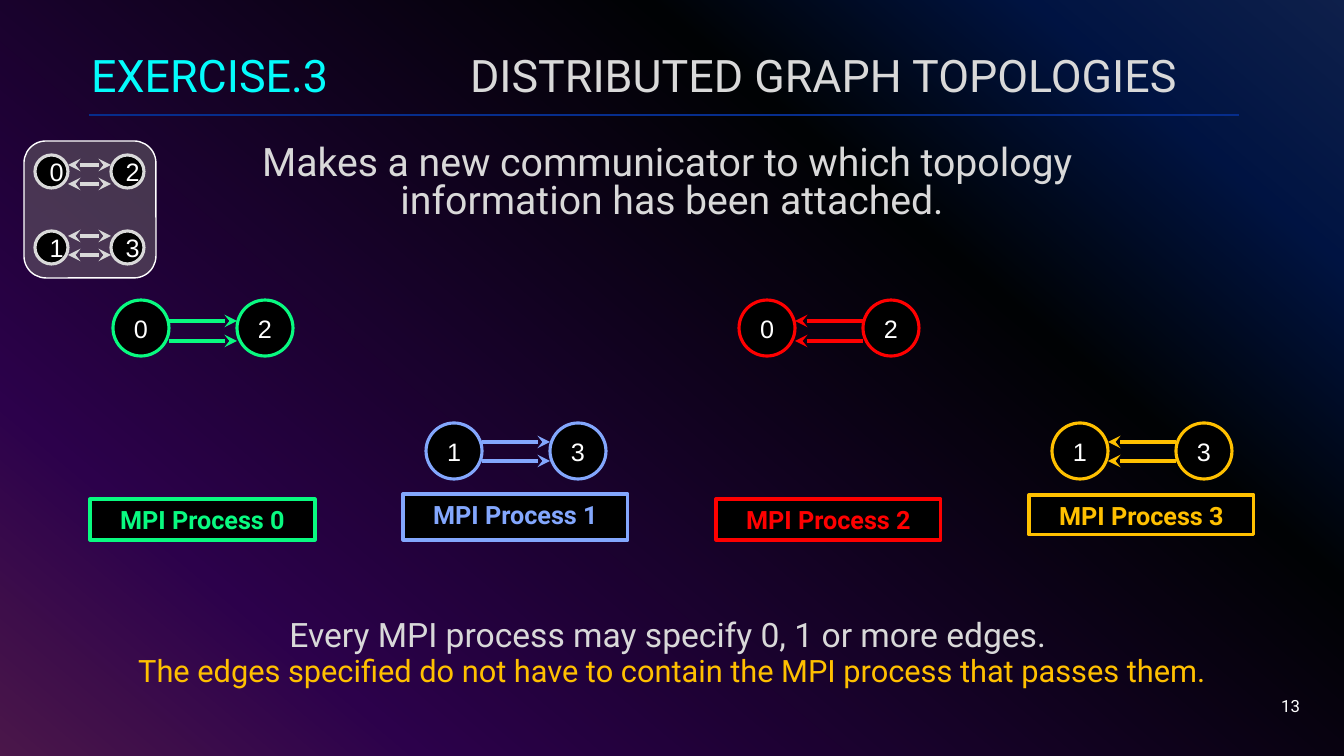
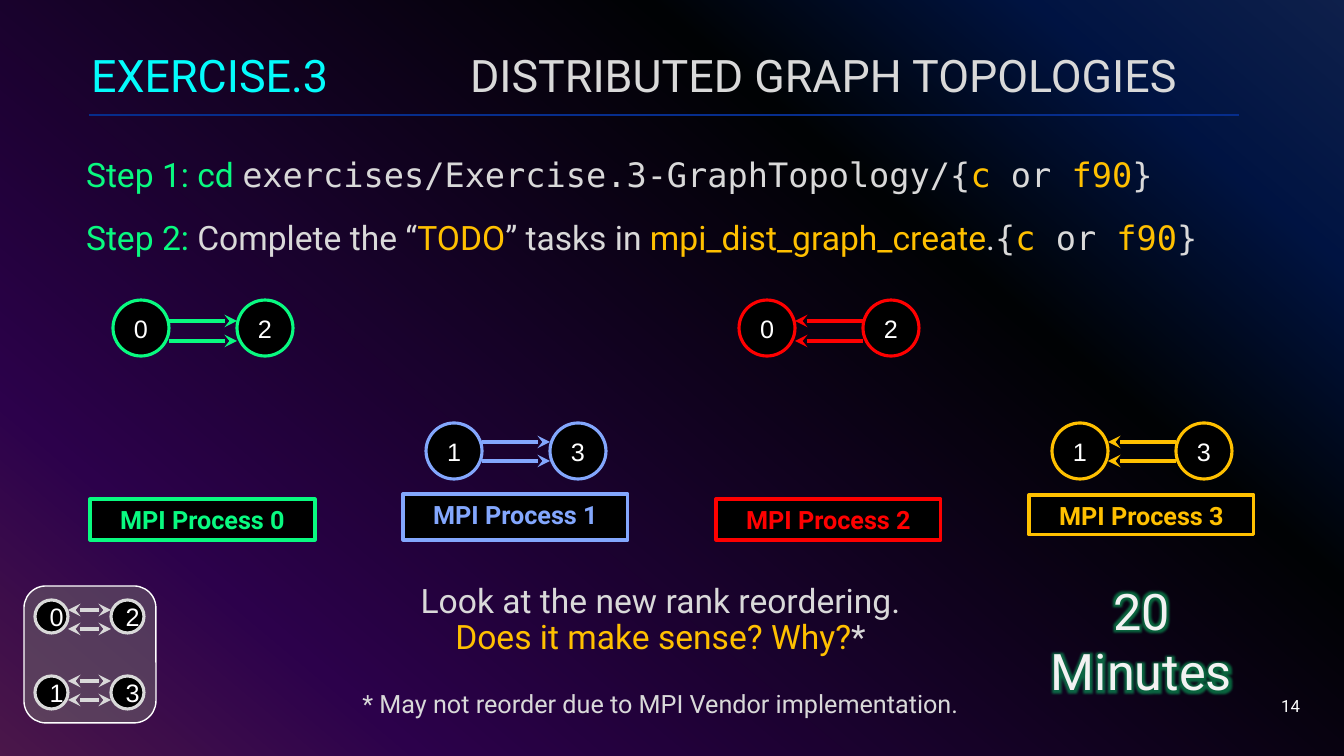
from pptx import Presentation
from pptx.dml.color import RGBColor
from pptx.enum.shapes import MSO_CONNECTOR, MSO_SHAPE
from pptx.enum.text import MSO_ANCHOR, MSO_AUTO_SIZE, PP_ALIGN
from pptx.oxml import parse_xml
from pptx.oxml.ns import nsdecls, qn
from pptx.util import Pt

RECT, OVAL, ROUND = MSO_SHAPE.RECTANGLE, MSO_SHAPE.OVAL, MSO_SHAPE.ROUNDED_RECTANGLE
STRAIGHT = MSO_CONNECTOR.STRAIGHT
TOP, MIDDLE, BOTTOM = MSO_ANCHOR.TOP, MSO_ANCHOR.MIDDLE, MSO_ANCHOR.BOTTOM
LEFT, CENTER, RIGHT = PP_ALIGN.LEFT, PP_ALIGN.CENTER, PP_ALIGN.RIGHT

EMU_PER_PX = 914400 / 100.8
WIDTH, HEIGHT = 1344, 756
SANS, MONO, NODE_FONT = "Roboto", "DejaVu Sans Mono", "Arial"
C = {
    "black": "000000", "white": "FFFFFF", "offwhite": "F2F2F2", "text": "D9D9D9",
    "cyan": "04FCFC", "green": "09FA80", "blue": "83A7FD", "red": "FF0000",
    "amber": "FFC000", "panel": "767171", "rule": "062D8C",
}
BACKDROP = [(0, "316CFC"), (14, "0343DF"), (31, "02090E"), (81, "9405FC"), (100, "FC4EFB")]

COLUMN_LEFT, COLUMN_PITCH = 90, 313
NODE, MINI_NODE = 56, 33
# colour, nodes, arrows point right, node top, edge offsets, label top, label height
PROCESSES = [
    ("green", "02", True, 300, (21, 41), 499, 41),
    ("blue", "13", True, 423, (19, 38), 494, 46),
    ("red", "02", False, 300, (21, 41), 499, 41),
    ("amber", "13", False, 423, (19, 38), 495, 40),
]
# nodes, node top, edge tops, all relative to the overview panel
OVERVIEW_ROWS = [("02", 14, (24, 43)), ("13", 90, (95, 114))]
FILE_TYPES = [("{", "text", MONO), ("c", "amber", MONO), (" or ", "text", MONO),
              ("f90", "amber", MONO), ("}", "text", MONO)]


def px(n):
    return round(n * EMU_PER_PX)


def rgb(name):
    return RGBColor.from_string(C[name])


def place(sp, x, y, w, h):
    sp.left, sp.top, sp.width, sp.height = px(x), px(y), px(w), px(h)


def set_frame(sp, anchor, auto_size=MSO_AUTO_SIZE.NONE):
    tf = sp.text_frame
    tf.word_wrap = True
    tf.auto_size = auto_size
    tf.vertical_anchor = anchor
    return tf


def style_run(r, size, color, font=SANS, bold=False):
    r.font.size = Pt(size)
    r.font.name = font
    r.font.bold = bold
    r.font.color.rgb = rgb(color)


def write(p, runs, size, align=CENTER, spacing=1.0, before=0):
    """Fill a paragraph with (text, colour[, font]) runs."""
    p.alignment, p.line_spacing, p.space_before = align, spacing, Pt(before)
    for text, *style in runs:
        r = p.add_run()
        r.text = text
        style_run(r, size, *style)


def plain_margin(p, left):
    """Remove the bullet and set a flat left margin."""
    pPr = p._p.get_or_add_pPr()
    pPr.set("marL", str(px(left)))
    pPr.set("indent", "0")
    pPr.append(parse_xml(f"<a:buNone {nsdecls('a')}/>"))


def set_alpha(sp, percent):
    color = sp.element.spPr.find(qn("a:solidFill")).find(qn("a:srgbClr"))
    color.append(parse_xml(f'<a:alpha {nsdecls("a")} val="{percent * 1000}"/>'))


def add_box(s, kind, x, y, w, h, fill, line=None, weight=2.25):
    sp = s.shapes.add_shape(kind, px(x), px(y), px(w), px(h))
    sp.shadow.inherit = False
    sp.fill.solid()
    sp.fill.fore_color.rgb = rgb(fill)
    if line:
        sp.line.color.rgb = rgb(line)
        sp.line.width = Pt(weight)
    else:
        sp.line.fill.background()
    return sp


def add_line(s, x1, y1, x2, y2, color, weight=3, ends=()):
    """Draw a line; ends lists headEnd and tailEnd where arrowheads go."""
    line = s.shapes.add_connector(STRAIGHT, px(x1), px(y1), px(x2), px(y2))
    line.line.color.rgb = rgb(color)
    line.line.width = Pt(weight)
    spPr = line.element.spPr
    for end in ends:
        spPr.find(qn("a:ln")).append(parse_xml(f'<a:{end} {nsdecls("a")} type="stealth"/>'))
    spPr.append(parse_xml(f"<a:effectLst {nsdecls('a')}/>"))
    return line


def add_text(s, x, y, w, h, anchor=MIDDLE):
    sp = s.shapes.add_textbox(px(x), px(y), px(w), px(h))
    return set_frame(sp, anchor)


def add_node(s, x, y, size, label, color):
    sp = add_box(s, OVAL, x, y, size, size, "black", color)
    tf = set_frame(sp, MIDDLE)
    write(tf.paragraphs[0], [(label, "white", NODE_FONT)], 18)


def add_process(s, rank, color, nodes, rightward, top, edges, label_top, label_height):
    x = COLUMN_LEFT + COLUMN_PITCH * rank
    left, right = x + 23, x + 147
    for node_x, label in zip((left, right), nodes):
        add_node(s, node_x, top, NODE, label, color)
    start, end = (left + NODE, right) if rightward else (right, left + NODE)
    for offset in edges:
        add_line(s, start, top + offset, end, top + offset, color, ends=["tailEnd"])
    label = add_box(s, RECT, x, label_top, 225, label_height, "black", color)
    tf = set_frame(label, TOP, MSO_AUTO_SIZE.SHAPE_TO_FIT_TEXT)
    write(tf.paragraphs[0], [(f"MPI Process {rank}", color, SANS, True)], 18)


def add_processes(s):
    for rank, process in enumerate(PROCESSES):
        add_process(s, rank, *process)


def add_overview(s, x, y):
    """Small panel that shows the whole graph."""
    panel = add_box(s, ROUND, x, y, 132, 137, "panel", "white", 1)
    set_alpha(panel, 47)
    left, right = x + 11, x + 87
    for nodes, top, edges in OVERVIEW_ROWS:
        for node_x, label in zip((left, right), nodes):
            add_node(s, node_x, y + top, MINI_NODE, label, "text")
        for edge in edges:
            add_line(s, left + MINI_NODE, y + edge, right, y + edge, "text",
                     ends=["headEnd", "tailEnd"])


def build_master(prs, s):
    """Give the master its backdrop, shade and title rule, drawn first on s."""
    master = prs.slide_master
    fill = master.background.fill
    fill.gradient()
    fill.gradient_angle = 230
    stops = master.element.find(".//" + qn("p:bgPr")).find(".//" + qn("a:gsLst"))
    for stop in list(stops):
        stops.remove(stop)
    for position, color in BACKDROP:
        stops.append(parse_xml(f'<a:gs {nsdecls("a")} pos="{position * 1000}">'
                               f'<a:srgbClr val="{color}"/></a:gs>'))
    shade = add_box(s, RECT, 0, 0, WIDTH, HEIGHT, "black")
    set_alpha(shade, 70)
    rule = add_line(s, 89, 115, 1239, 115, "rule", 2)
    for sp in (rule, shade):
        master.shapes.element.insert(2, sp.element)


def add_title(s):
    title = s.shapes.title
    place(title, 81, 0, 1159, 107)
    p = set_frame(title, BOTTOM).paragraphs[0]
    write(p, [("EXERCISE.3\t", "cyan"), ("DISTRIBUTED GRAPH TOPOLOGIES", "text")],
          32, LEFT, 0.9)
    p._p.get_or_add_pPr().append(parse_xml(
        f'<a:tabLst {nsdecls("a")}><a:tab pos="{px(379)}" algn="l"/></a:tabLst>'))


def add_page_number(s, number):
    tf = add_text(s, 1008, 686, 302, 40)
    write(tf.paragraphs[0], [(str(number), "white")], 12, RIGHT)


def add_lead(s):
    body = s.placeholders[1]
    place(body, 26, 140, 1292, 89)
    p = set_frame(body, MIDDLE).paragraphs[0]
    p.text = "Makes a new communicator to which topology \vinformation has been attached."
    write(p, [], 28, spacing=0.8)
    for r in p.runs:
        style_run(r, 28, "text")
    plain_margin(p, 0)


def add_edge_rules(s):
    tf = add_text(s, 26, 580, 1292, 148)
    write(tf.paragraphs[0], [("Every MPI process may specify 0, 1 or more edges. ", "text")],
          24, spacing=0.9)
    write(tf.add_paragraph(),
          [("The edges specified do not have to contain the MPI process that passes them.",
            "amber")], 22, spacing=0.9, before=1)


def add_steps(s):
    body = s.placeholders[1]
    place(body, 45, 141, 1286, 150)
    tf = set_frame(body, TOP)
    steps = [
        [("Step 1: cd ", "green"), ("exercises/Exercise.3-GraphTopology/", "text", MONO)],
        [("Step 2: ", "green"), ("Complete the “", "text"), ("TODO", "amber"),
         ("” tasks in ", "text"), ("mpi_dist_graph_create", "amber"), (".", "text")],
    ]
    for i, runs in enumerate(steps):
        p = tf.add_paragraph() if i else tf.paragraphs[0]
        write(p, runs + FILE_TYPES, 24, LEFT, 1.2, 10)
        plain_margin(p, 31)


def add_question(s):
    tf = add_text(s, 81, 578, 1159, 148)
    write(tf.paragraphs[0], [("Look at the new rank reordering.", "text")], 24, spacing=0.9)
    write(tf.add_paragraph(), [("Does it make sense? Why?", "amber"), ("*", "text")],
          24, spacing=0.9)
    write(tf.add_paragraph(),
          [("* May not reorder due to MPI Vendor implementation.", "text")],
          18, spacing=0.9, before=25)


def add_time_limit(s):
    p = add_text(s, 1010, 575, 263, 132, TOP).paragraphs[0]
    write(p, [("20 Minutes", "offwhite")], 36)
    rPr = p.runs[0]._r.get_or_add_rPr()
    rPr.find(qn("a:solidFill")).addnext(parse_xml(
        f'<a:effectLst {nsdecls("a")}><a:glow rad="101600"><a:srgbClr val="{C["green"]}">'
        '<a:alpha val="40000"/></a:srgbClr></a:glow></a:effectLst>'))


def build_concept_slide(s):
    add_title(s)
    add_lead(s)
    add_processes(s)
    add_overview(s, 24, 141)
    add_edge_rules(s)
    add_page_number(s, 13)


def build_task_slide(s):
    add_title(s)
    add_steps(s)
    add_processes(s)
    add_overview(s, 24, 586)
    add_question(s)
    add_time_limit(s)
    add_page_number(s, 14)


def main():
    prs = Presentation()
    prs.slide_width, prs.slide_height = px(WIDTH), px(HEIGHT)
    layout = prs.slide_layouts.get_by_name("Title and Content")
    concept, task = [prs.slides.add_slide(layout) for _ in range(2)]
    build_master(prs, concept)
    build_concept_slide(concept)
    build_task_slide(task)
    prs.save("out.pptx")


if __name__ == "__main__":
    main()
